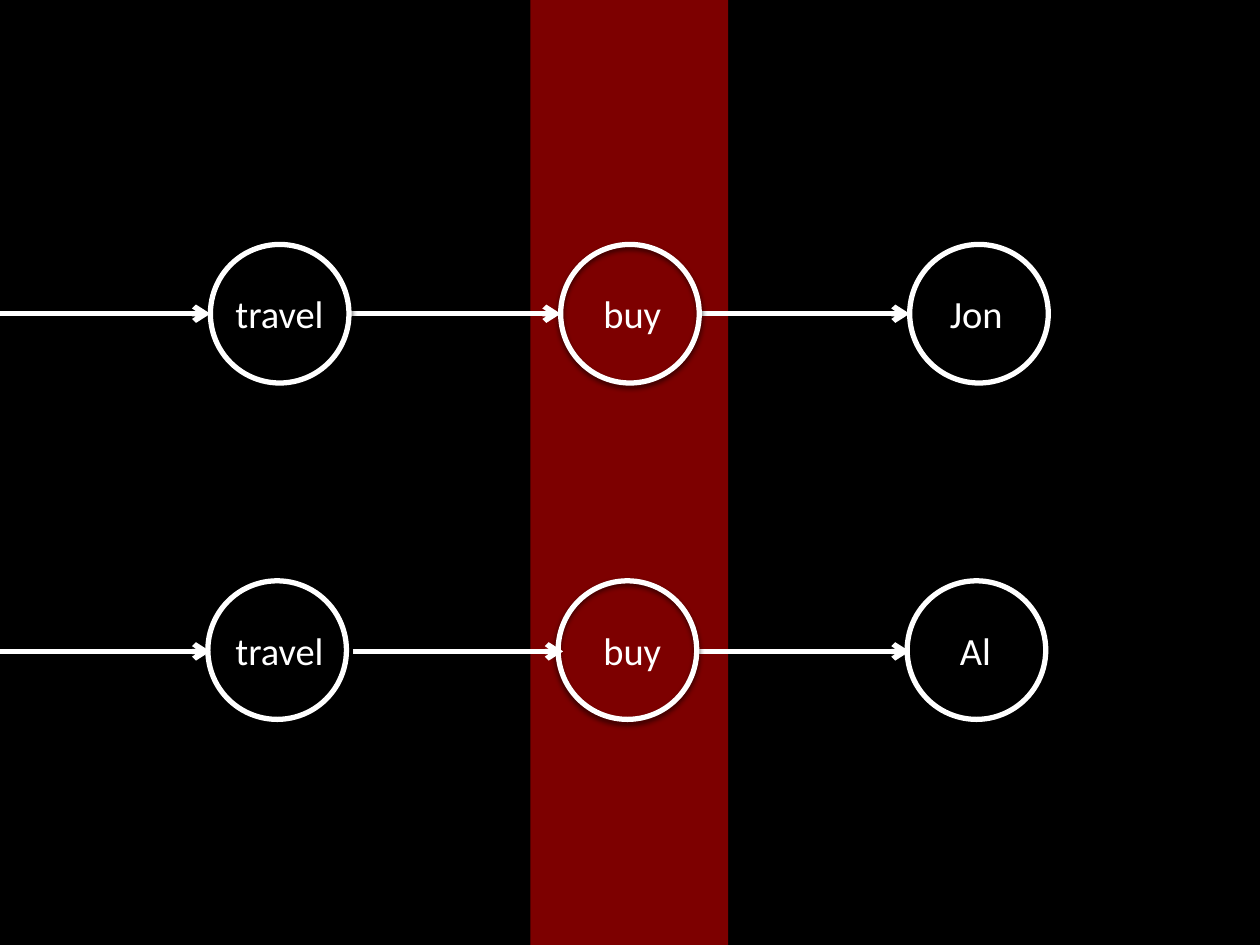
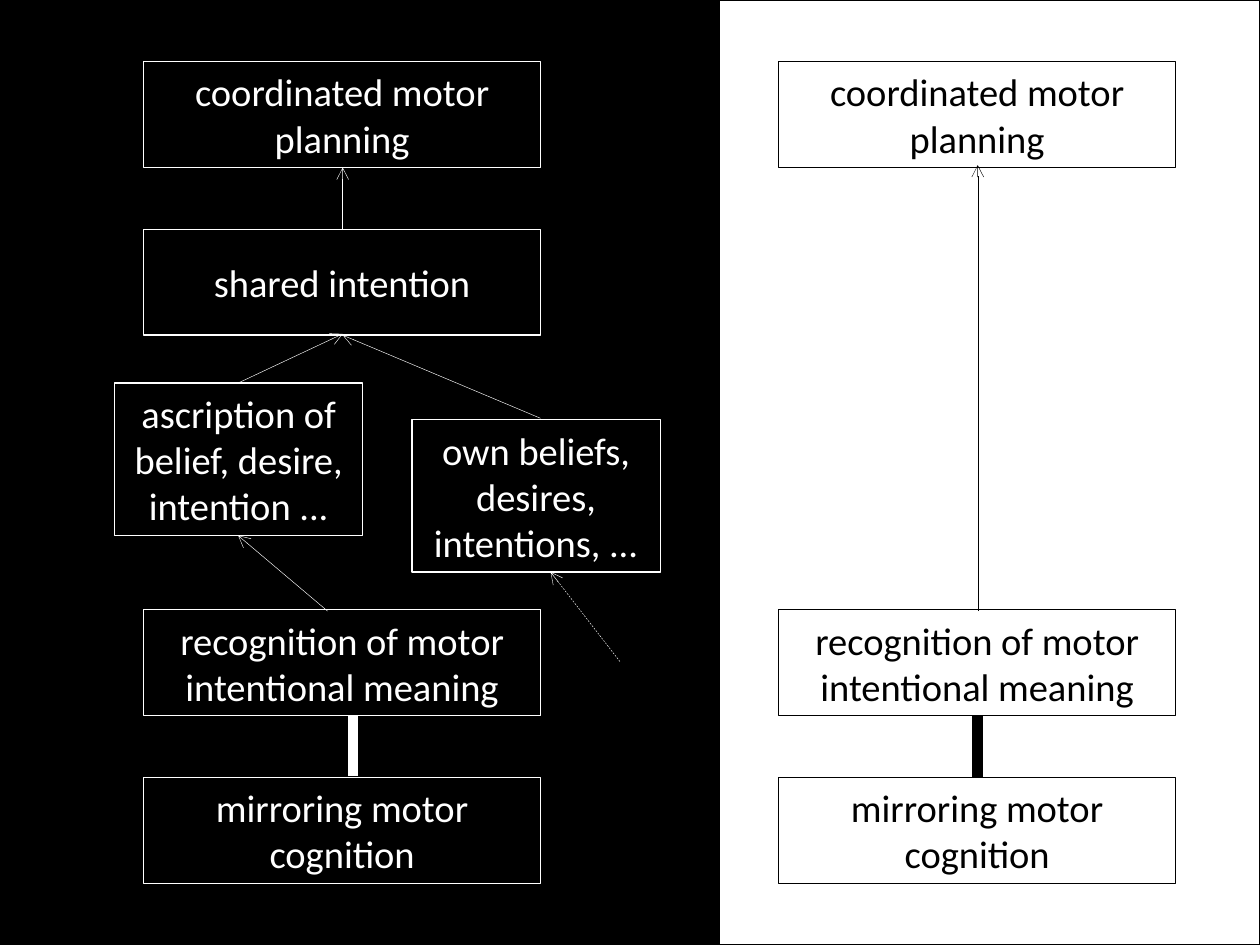
"""Build two slides on motor cognition: action chains and two routes to coordinated planning."""
from dataclasses import dataclass

import lxml.etree
import pptx
import pptx.dml.color
import pptx.enum.dml
import pptx.enum.shapes
import pptx.enum.text
import pptx.oxml.ns
import pptx.util

EMU_PER_PX = 9144
PAGE_WIDTH, PAGE_HEIGHT = 1000, 750
FONT, TEXT_SIZE = "Calibri", 22
COLOURS = {"black": "000000", "white": "FFFFFF", "band": "7D0000"}
SHAPES = pptx.enum.shapes.MSO_SHAPE
ALIGN = pptx.enum.text.PP_ALIGN
ANCHOR = pptx.enum.text.MSO_ANCHOR

CIRCLE_SIZE, ARROW_LENGTH = 110, 167
BOX_WIDTH, BOX_HEIGHT = 315, 84
SMALL_WIDTH, SMALL_HEIGHT = 197, 121
LEFT_COLUMN, RIGHT_COLUMN = 114, 618


@dataclass(frozen=True)
class Step:
    label: str
    circle_left: int
    arrow_end: int
    label_left: int
    label_width: int


@dataclass(frozen=True)
class Chain:
    circle_top: int
    arrow_level: int
    label_top: int
    steps: tuple[Step, ...]


@dataclass(frozen=True)
class Box:
    text: str
    left: int
    top: int
    colour: str = "white"
    width: int = BOX_WIDTH
    height: int = BOX_HEIGHT


@dataclass(frozen=True)
class Link:
    start: tuple[int, int]
    end: tuple[int, int]
    colour: str = "white"
    weight: float = 0.25
    arrow: bool = True
    dashed: bool = False


CHAINS = (
    Chain(194, 249, 225, (
        Step("Jon", 722, 722, 744, 67),
        Step("buy", 445, 445, 469, 72),
        Step("travel", 167, 167, 177, 95),
    )),
    Chain(461, 517, 493, (
        Step("Al", 720, 722, 752, 47),
        Step("buy", 443, 447, 469, 72),
        Step("travel", 165, 167, 177, 95),
    )),
)

SHARED_BOXES = (
    ("mirroring motor cognition", 617),
    ("recognition of motor intentional meaning", 484),
    ("coordinated motor planning", 49),
)
REASONING_BOXES = (
    Box("ascription of belief, desire, intention ...", 91, 304,
        width=SMALL_WIDTH, height=SMALL_HEIGHT),
    Box("own beliefs, desires, intentions, ...", 327, 333,
        width=SMALL_WIDTH, height=SMALL_HEIGHT),
    Box("shared intention", LEFT_COLUMN, 182),
)
LINKS = (
    Link((260, 485), (189, 425)),
    Link((429, 332), (272, 266)),
    Link((189, 304), (272, 265)),
    Link((272, 182), (272, 133)),
    Link((280, 616), (280, 568), weight=6, arrow=False),
    Link((492, 525), (437, 454), dashed=True),
    Link((776, 617), (776, 568), "black", weight=6, arrow=False),
    Link((776, 485), (776, 131), "black"),
)


def px(length: int) -> pptx.util.Emu:
    """Turn pixels into EMU."""
    return pptx.util.Emu(length * EMU_PER_PX)


def rgb(colour: str) -> pptx.dml.color.RGBColor:
    """Look up a named colour."""
    return pptx.dml.color.RGBColor.from_string(COLOURS[colour])


def add_element(parent, tag: str, **attributes: str):
    """Append a drawing element to its parent."""
    return lxml.etree.SubElement(parent, pptx.oxml.ns.qn(tag), attributes)


def add_page(deck):
    """Add a blank black slide."""
    page = deck.slides.add_slide(deck.slide_layouts[6])
    page.background.fill.solid()
    page.background.fill.fore_color.rgb = rgb("black")
    return page


def write_text(shape, text: str, *, colour: str = "white", align=ALIGN.CENTER,
               anchor=ANCHOR.MIDDLE, wrap: bool = True) -> None:
    """Write one formatted paragraph in a shape."""
    frame = shape.text_frame
    frame.word_wrap = wrap
    frame.vertical_anchor = anchor
    para = frame.paragraphs[0]
    para.alignment = align
    span = para.add_run()
    span.text = text
    span.font.name = FONT
    span.font.size = pptx.util.Pt(TEXT_SIZE)
    span.font.color.rgb = rgb(colour)


def draw_shape(page, kind, left: int, top: int, width: int, height: int, *,
               fill: str | None = None, line: str | None = None, weight: float = 0.75):
    """Draw a preset shape without a shadow."""
    shape = page.shapes.add_shape(kind, px(left), px(top), px(width), px(height))
    shape.shadow.inherit = False
    if fill:
        shape.fill.solid()
        shape.fill.fore_color.rgb = rgb(fill)
    else:
        shape.fill.background()
    if line:
        shape.line.color.rgb = rgb(line)
        shape.line.width = pptx.util.Pt(weight)
    else:
        shape.line.fill.background()
    return shape


def draw_link(page, link: Link) -> None:
    """Draw a straight line, with an arrowhead where asked."""
    connector = page.shapes.add_connector(
        pptx.enum.shapes.MSO_CONNECTOR.STRAIGHT, *map(px, link.start + link.end))
    connector.line.color.rgb = rgb(link.colour)
    connector.line.width = pptx.util.Pt(link.weight)
    if link.dashed:
        connector.line.dash_style = pptx.enum.dml.MSO_LINE.DASH
    if link.arrow:
        add_element(connector.line._get_or_add_ln(), "a:tailEnd", type="arrow")
    add_element(connector._element.spPr, "a:effectLst")


def draw_circle(page, left: int, top: int) -> None:
    """Draw a white ring with a soft dark shadow."""
    circle = draw_shape(page, SHAPES.OVAL, left, top, CIRCLE_SIZE, CIRCLE_SIZE,
                        line="white", weight=3)
    effects = circle._element.spPr.find(pptx.oxml.ns.qn("a:effectLst"))
    shadow = add_element(effects, "a:outerShdw", blurRad="40000", dist="20000",
                         dir="5400000", rotWithShape="0")
    tint = add_element(shadow, "a:srgbClr", val=COLOURS["black"])
    add_element(tint, "a:alpha", val="60000")


def draw_step(page, chain: Chain, step: Step) -> None:
    """Draw a ring, the arrow into it and its label."""
    draw_circle(page, step.circle_left, chain.circle_top)
    draw_link(page, Link((step.arrow_end - ARROW_LENGTH, chain.arrow_level),
                         (step.arrow_end, chain.arrow_level), weight=3))
    label = page.shapes.add_textbox(px(step.label_left), px(chain.label_top),
                                    px(step.label_width), px(47))
    write_text(label, step.label, align=ALIGN.LEFT, anchor=ANCHOR.TOP, wrap=False)


def draw_box(page, box: Box) -> None:
    """Draw an outlined box with centred text."""
    shape = draw_shape(page, SHAPES.RECTANGLE, box.left, box.top, box.width,
                       box.height, line=box.colour)
    write_text(shape, box.text, colour=box.colour)


def build_chains(deck) -> None:
    """Build the slide with two action chains."""
    page = add_page(deck)
    draw_shape(page, SHAPES.RECTANGLE, 421, 0, 157, PAGE_HEIGHT, fill="band")
    for chain in CHAINS:
        for step in chain.steps:
            draw_step(page, chain, step)


def build_routes(deck) -> None:
    """Build the slide that sets two routes side by side."""
    page = add_page(deck)
    draw_shape(page, SHAPES.RECTANGLE, 571, 0, 429, PAGE_HEIGHT,
               fill="white", line="black")
    for left, colour in ((LEFT_COLUMN, "white"), (RIGHT_COLUMN, "black")):
        for text, top in SHARED_BOXES:
            draw_box(page, Box(text, left, top, colour))
    for box in REASONING_BOXES:
        draw_box(page, box)
    for link in LINKS:
        draw_link(page, link)


def main() -> None:
    """Build and save the deck."""
    deck = pptx.Presentation()
    deck.slide_width, deck.slide_height = px(PAGE_WIDTH), px(PAGE_HEIGHT)
    build_chains(deck)
    build_routes(deck)
    deck.save("out.pptx")


if __name__ == "__main__":
    main()
